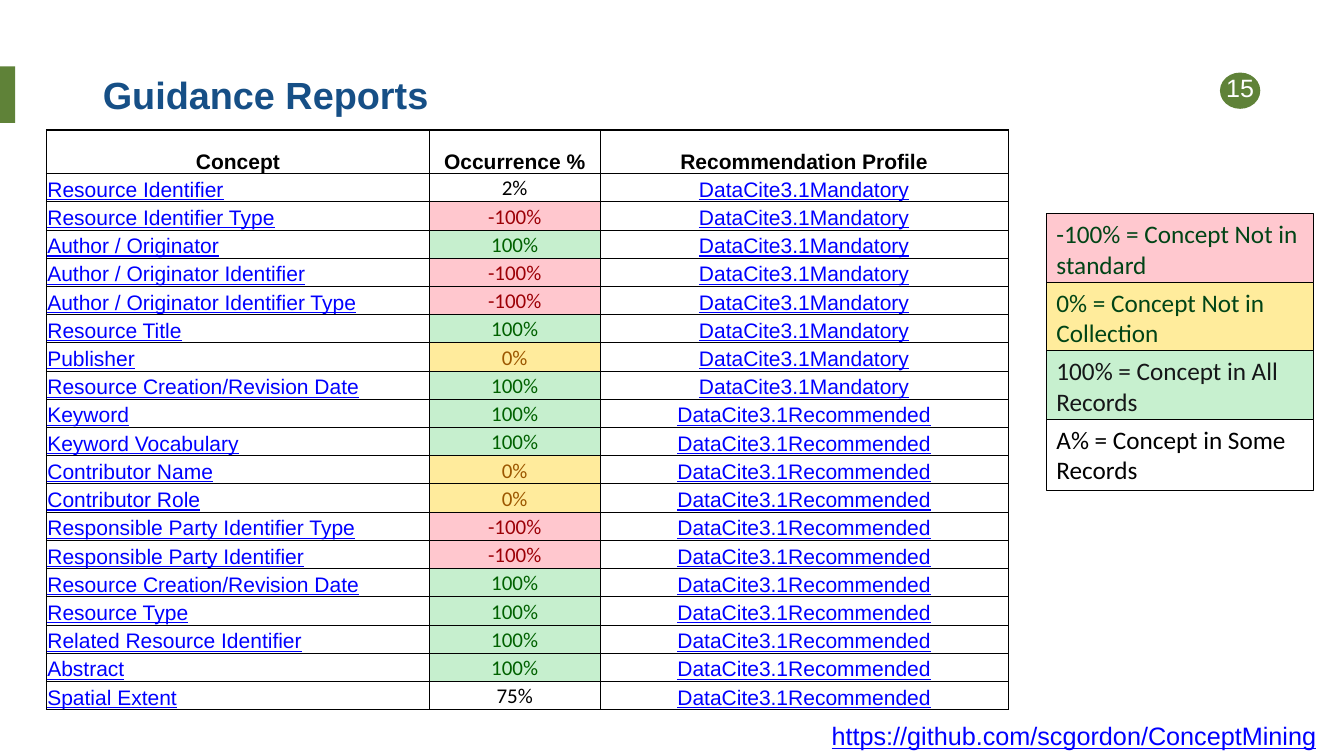
import pptx
import pptx.dml.color
import pptx.enum.shapes
import pptx.enum.text
import pptx.oxml
import pptx.oxml.ns
import pptx.util

Inches = pptx.util.Inches
Pt = pptx.util.Pt
ALIGN = pptx.enum.text.PP_ALIGN
ANCHOR = pptx.enum.text.MSO_ANCHOR
SHAPE = pptx.enum.shapes.MSO_SHAPE

GREEN, NAVY, LINK, BLACK, WHITE = "5F8238", "164F86", "0000FF", "000000", "FFFFFF"

# Occurrence value: text colour, cell fill
OCCURRENCE_COLOURS = {
    "-100%": ("9C0006", "FFC7CE"),
    "0%": ("9C5700", "FFEB9C"),
    "100%": ("006100", "C6EFCE"),
}
HEADINGS = ("Concept", "Occurrence %", "Recommendation Profile")
MANDATORY = [
    ("Resource Identifier", "2%"),
    ("Resource Identifier Type", "-100%"),
    ("Author / Originator", "100%"),
    ("Author / Originator Identifier", "-100%"),
    ("Author / Originator Identifier Type", "-100%"),
    ("Resource Title", "100%"),
    ("Publisher", "0%"),
    ("Resource Creation/Revision Date", "100%"),
]
RECOMMENDED = [
    ("Keyword", "100%"),
    ("Keyword Vocabulary", "100%"),
    ("Contributor Name", "0%"),
    ("Contributor Role", "0%"),
    ("Responsible Party Identifier Type", "-100%"),
    ("Responsible Party Identifier", "-100%"),
    ("Resource Creation/Revision Date", "100%"),
    ("Resource Type", "100%"),
    ("Related Resource Identifier", "100%"),
    ("Abstract", "100%"),
    ("Spatial Extent", "75%"),
]
LEGEND = [
    ("-100% = Concept Not in standard", "FFC8CF", "004416"),
    ("0% = Concept Not in Collection", "FFEC9C", "004416"),
    ("100% = Concept in All Records", "C7F0CF", "151618"),
    ("A% = Concept in Some Records", WHITE, BLACK),
]


def colour(hex_code):
    return pptx.dml.color.RGBColor.from_string(hex_code)


def write(frame, text, size, font, hex_code, align=ALIGN.LEFT, bold=False, underline=False):
    frame.text = text
    paragraph = frame.paragraphs[0]
    paragraph.alignment = align
    run_font = paragraph.runs[0].font
    run_font.size = Pt(size)
    run_font.name = font
    run_font.bold = bold
    run_font.underline = underline
    run_font.color.rgb = colour(hex_code)


def add_block(slide, kind, left, top, width, height, fill, outline=None):
    block = slide.shapes.add_shape(kind, Inches(left), Inches(top), Inches(width), Inches(height))
    block.shadow.inherit = False
    block.fill.solid()
    block.fill.fore_color.rgb = colour(fill)
    if outline:
        block.line.color.rgb = colour(outline)
        block.line.width = Pt(0.75)
    else:
        block.line.fill.background()
    return block


def add_header(slide, left, top, height):
    # Accent bar at the slide edge
    add_block(slide, SHAPE.RECTANGLE, left, top, 0.15, height, GREEN)

    # Title
    title = slide.shapes.title
    title.left, title.top = Inches(left + 0.92), Inches(top)
    title.width, title.height = Inches(9.33), Inches(height)
    write(title.text_frame, "Guidance Reports", 27, "Arial", NAVY, bold=True)
    title.text_frame.vertical_anchor = ANCHOR.MIDDLE

    # Page number badge
    badge = add_block(slide, SHAPE.OVAL, left + 12.1, top + 0.06, 0.4, 0.36, GREEN)
    frame = badge.text_frame
    frame.margin_left = frame.margin_right = frame.margin_top = frame.margin_bottom = 0
    frame.word_wrap = False
    frame.vertical_anchor = ANCHOR.MIDDLE
    write(frame, "15", 17.9, "Arial", WHITE, ALIGN.CENTER)
    frame.paragraphs[0].line_spacing = 0.8


def set_borders(cell, widths):
    properties = cell._tc.get_or_add_tcPr()
    for side, width in zip("LRTB", widths):
        properties.append(pptx.oxml.parse_xml(
            f'<a:ln{side} {pptx.oxml.ns.nsdecls("a")} w="{Pt(width)}">'
            f'<a:solidFill><a:srgbClr val="{BLACK}"/></a:solidFill></a:ln{side}>'))


def add_report(slide, left, top, column_widths, heading_height, row_height):
    rows = [HEADINGS]
    rows += [(*entry, "DataCite3.1Mandatory") for entry in MANDATORY]
    rows += [(*entry, "DataCite3.1Recommended") for entry in RECOMMENDED]
    height = heading_height + row_height * (len(rows) - 1)
    report = slide.shapes.add_table(len(rows), len(HEADINGS), Inches(left), Inches(top),
                                    Inches(sum(column_widths)), Inches(height)).table
    report.first_row = report.horz_banding = False
    for column, width in zip(report.columns, column_widths):
        column.width = Inches(width)

    for r, row in enumerate(rows):
        report.rows[r].height = Inches(row_height if r else heading_height)
        for c, text in enumerate(row):
            cell = report.cell(r, c)
            cell.margin_left = cell.margin_right = cell.margin_top = Inches(0.01)
            cell.margin_bottom = 0
            cell.vertical_anchor = ANCHOR.BOTTOM

            # Heavier lines around the table and the heading row
            set_borders(cell, (1 if c == 0 else 0.5, 1 if c == 2 else 0.5,
                               1 if r < 2 else 0.5, 1 if r == 0 else 0.5))

            # Headings, occurrence values and underlined names
            fill = WHITE
            if r == 0:
                write(cell.text_frame, text, 15, "Arial", BLACK, ALIGN.CENTER, bold=True)
            elif c == 1:
                ink, fill = OCCURRENCE_COLOURS.get(text, (BLACK, WHITE))
                write(cell.text_frame, text, 15, "Calibri", ink, ALIGN.CENTER)
            else:
                align = ALIGN.CENTER if c else ALIGN.LEFT
                write(cell.text_frame, text, 15, "Arial", LINK, align, underline=True)
            cell.fill.solid()
            cell.fill.fore_color.rgb = colour(fill)


def add_legend(slide, left, top, width, height, step):
    for i, (meaning, fill, ink) in enumerate(LEGEND):
        key = add_block(slide, SHAPE.RECTANGLE, left, top + i * step, width, height, fill, BLACK)
        key.text_frame.word_wrap = True
        key.text_frame.vertical_anchor = ANCHOR.TOP
        write(key.text_frame, meaning, 18, "Calibri", ink)


def add_address(slide, left, top, width, height):
    address = slide.shapes.add_textbox(Inches(left), Inches(top), Inches(width), Inches(height))
    address.text_frame.word_wrap = False
    write(address.text_frame, "https://github.com/scgordon/ConceptMining", 18, "Arial", LINK,
          underline=True)


def main():
    deck = pptx.Presentation()
    deck.slide_width, deck.slide_height = Inches(13.33), Inches(7.5)
    slide = deck.slides.add_slide(deck.slide_layouts[5])
    add_header(slide, 0, 0.66, 0.56)
    add_legend(slide, 10.38, 2.12, 2.65, 0.71, 0.68)
    add_report(slide, 0.46, 1.29, (3.8, 1.69, 4.05), 0.43, 0.28)
    add_address(slide, 8.15, 7.1, 5.26, 0.4)
    deck.save("out.pptx")


if __name__ == "__main__":
    main()
